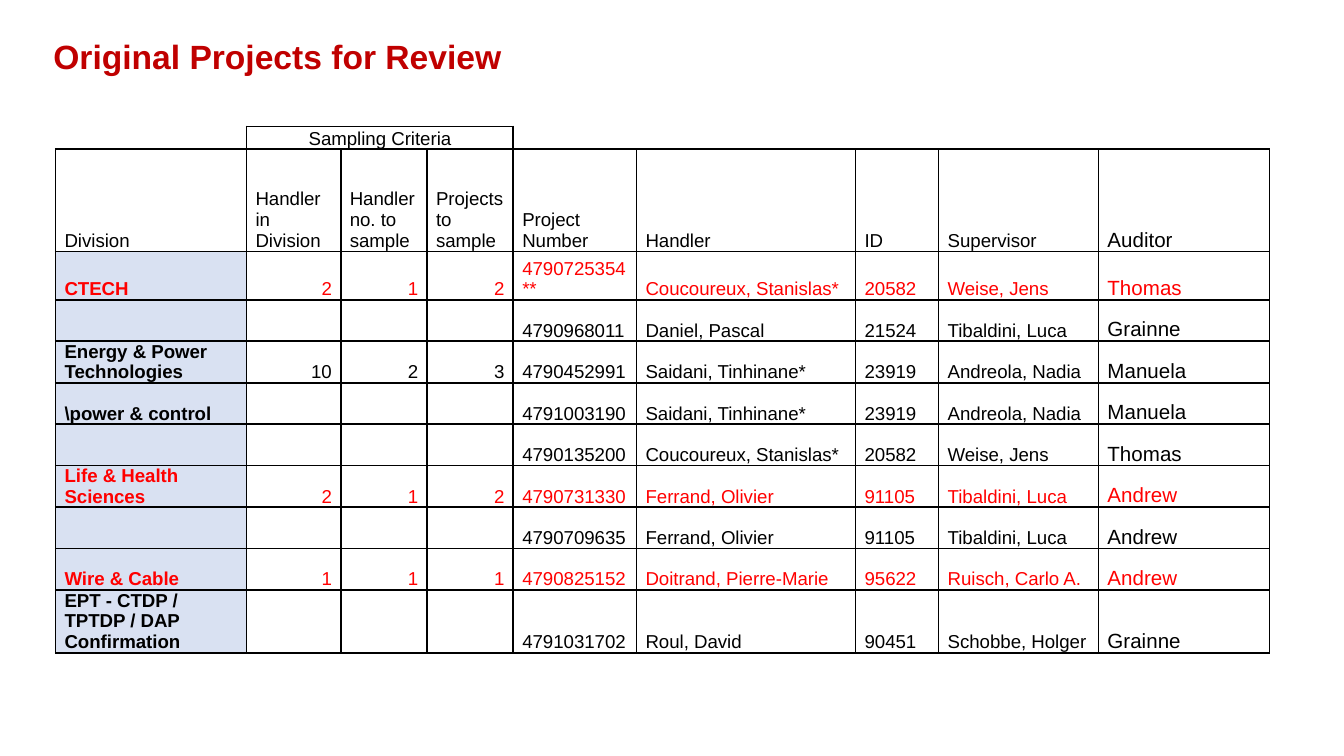
from dataclasses import dataclass
from itertools import product

from lxml.etree import SubElement
from pptx import Presentation
from pptx.dml.color import RGBColor
from pptx.enum.shapes import MSO_SHAPE as Preset
from pptx.enum.text import MSO_ANCHOR as Anchor, PP_ALIGN as Align
from pptx.oxml.ns import qn
from pptx.slide import Slide
from pptx.table import Table, _Cell as Cell
from pptx.util import Cm, Pt

BLACK, RED, TITLE_RED = "000000", "FF0000", "C00000"
WHITE, DIVISION_BLUE = "FFFFFF", "D9E1F2"
NO_GRID_STYLE = "{2D5ABB26-0587-4C30-8999-92F81FD0307C}"
NO_COUNTS = ("", "", "")
COLUMN_WIDTHS = (3.61, 1.78, 1.63, 1.63, 2.33, 4.14, 1.57, 3.02, 3.23)
ROW_HEIGHTS = (0.43, 1.93, 0.92, *[0.78] * 7, 1.19)
HEADINGS = ("Division", "Handler in Division", "Handler no. to sample",
            "Projects to sample", "Project Number", "Handler", "ID",
            "Supervisor", "Auditor")
COUNT_COLUMNS = range(1, 4)
AUDITOR_COLUMN = len(HEADINGS) - 1


@dataclass(frozen=True)
class Project:
    division: str
    counts: tuple[str, str, str]
    number: str
    handler: str
    handler_id: str
    supervisor: str
    auditor: str
    color: str = BLACK

    def values(self) -> tuple[str, ...]:
        return (self.division, *self.counts, self.number, self.handler,
                self.handler_id, self.supervisor, self.auditor)


PROJECTS = (
    Project("CTECH", ("2", "1", "2"), "4790725354**", "Coucoureux, Stanislas*",
            "20582", "Weise, Jens", "Thomas", RED),
    Project("", NO_COUNTS, "4790968011", "Daniel, Pascal",
            "21524", "Tibaldini, Luca", "Grainne"),
    Project("Energy & Power Technologies", ("10", "2", "3"), "4790452991",
            "Saidani, Tinhinane*", "23919", "Andreola, Nadia", "Manuela"),
    Project(r"\power & control", NO_COUNTS, "4791003190",
            "Saidani, Tinhinane*", "23919", "Andreola, Nadia", "Manuela"),
    Project("", NO_COUNTS, "4790135200", "Coucoureux, Stanislas*",
            "20582", "Weise, Jens", "Thomas"),
    Project("Life & Health Sciences", ("2", "1", "2"), "4790731330",
            "Ferrand, Olivier", "91105", "Tibaldini, Luca", "Andrew", RED),
    Project("", NO_COUNTS, "4790709635", "Ferrand, Olivier",
            "91105", "Tibaldini, Luca", "Andrew"),
    Project("Wire & Cable", ("1", "1", "1"), "4790825152",
            "Doitrand, Pierre-Marie", "95622", "Ruisch, Carlo A.", "Andrew", RED),
    Project("EPT - CTDP / TPTDP / DAP Confirmation", NO_COUNTS, "4791031702",
            "Roul, David", "90451", "Schobbe, Holger", "Grainne"),
)


def rgb(color: str) -> RGBColor:
    return RGBColor.from_string(color)


def apply(target: object, values: dict) -> None:
    for name, value in values.items():
        setattr(target, name, value)


def write(para, text: str, size: int, color: str, bold: bool = False) -> None:
    span = para.add_run()
    apply(span, {"text": text})
    apply(span.font, {"name": "Arial", "size": Pt(size), "bold": bold})
    span.font.color.rgb = rgb(color)


def draw_borders(cell: Cell, sides: str) -> None:
    properties = cell._tc.get_or_add_tcPr()
    for side in "LRTB":
        line = SubElement(properties, qn(f"a:ln{side}"), w=str(Pt(1)))
        if side in sides:
            fill = SubElement(line, qn("a:solidFill"))
            SubElement(fill, qn("a:srgbClr"), val=BLACK)
        else:
            SubElement(line, qn("a:noFill"))


def format_cell(cell: Cell, sides: str, fill: str = "") -> None:
    apply(cell, {"margin_left": Cm(0.17), "margin_right": Cm(0.17),
                 "margin_top": 0, "margin_bottom": 0,
                 "vertical_anchor": Anchor.BOTTOM})
    draw_borders(cell, sides)
    if fill:
        cell.fill.solid()
        cell.fill.fore_color.rgb = rgb(fill)
    else:
        cell.fill.background()


def fill_cell(cell: Cell, text: str, align: Align, size: int,
              color: str, bold: bool = False) -> None:
    para = cell.text_frame.paragraphs[0]
    para.alignment = align
    if text:
        write(para, text, size, color, bold)
    else:
        SubElement(para._p, qn("a:endParaRPr"), sz=str(size * 100))


def draw_title(page: Slide) -> None:
    box = page.shapes.add_shape(Preset.RECTANGLE, Cm(0.76), Cm(0.64),
                                Cm(23.5), Cm(1.14))
    box.shadow.inherit = False
    box.fill.solid()
    box.fill.fore_color.rgb = rgb(WHITE)
    box.line.fill.background()
    apply(box.text_frame, {"word_wrap": True, "vertical_anchor": Anchor.TOP})
    para = box.text_frame.paragraphs[0]
    apply(para, {"alignment": Align.LEFT, "line_spacing": 0.9})
    write(para, "Original Projects for Review", 18, TITLE_RED, True)


def add_grid(page: Slide) -> Table:
    table = page.shapes.add_table(
        len(ROW_HEIGHTS), len(COLUMN_WIDTHS), Cm(1.05), Cm(2.39),
        Cm(sum(COLUMN_WIDTHS)), Cm(sum(ROW_HEIGHTS))).table
    apply(table, {"first_row": False, "horz_banding": False})
    table._tbl.tblPr.find(qn("a:tableStyleId")).text = NO_GRID_STYLE
    for column, width in zip(table.columns, COLUMN_WIDTHS):
        column.width = Cm(width)
    for row, height in zip(table.rows, ROW_HEIGHTS):
        row.height = Cm(height)
    return table


def draw_criteria_row(table: Table) -> None:
    outer_sides = {0: "RB", 4: "LB"}
    for index in range(len(COLUMN_WIDTHS)):
        cell = table.cell(0, index)
        grouped = index in COUNT_COLUMNS
        format_cell(cell, "LRTB" if grouped else outer_sides.get(index, "B"))
        text = "Sampling Criteria" if index == COUNT_COLUMNS[0] else ""
        fill_cell(cell, text, Align.CENTER, 10, BLACK)
    table.cell(0, COUNT_COLUMNS[0]).merge(table.cell(0, COUNT_COLUMNS[-1]))


def draw_projects(table: Table) -> None:
    lines = [(HEADINGS, BLACK)] + [(p.values(), p.color) for p in PROJECTS]
    for row, column in product(range(len(lines)), range(len(HEADINGS))):
        values, color = lines[row]
        cell = table.cell(row + 1, column)
        is_project = row > 0
        is_division = is_project and column == 0
        is_count = is_project and column in COUNT_COLUMNS
        format_cell(cell, "LRTB", DIVISION_BLUE if is_division else "")
        fill_cell(cell, values[column], Align.RIGHT if is_count else Align.LEFT,
                  11 if column == AUDITOR_COLUMN else 10, color, is_division)


def main() -> None:
    deck = Presentation()
    apply(deck, {"slide_width": Cm(25.4), "slide_height": Cm(14.29)})
    page = deck.slides.add_slide(deck.slide_layouts[6])
    draw_title(page)
    table = add_grid(page)
    draw_criteria_row(table)
    draw_projects(table)
    deck.save("out.pptx")


if __name__ == "__main__":
    main()
